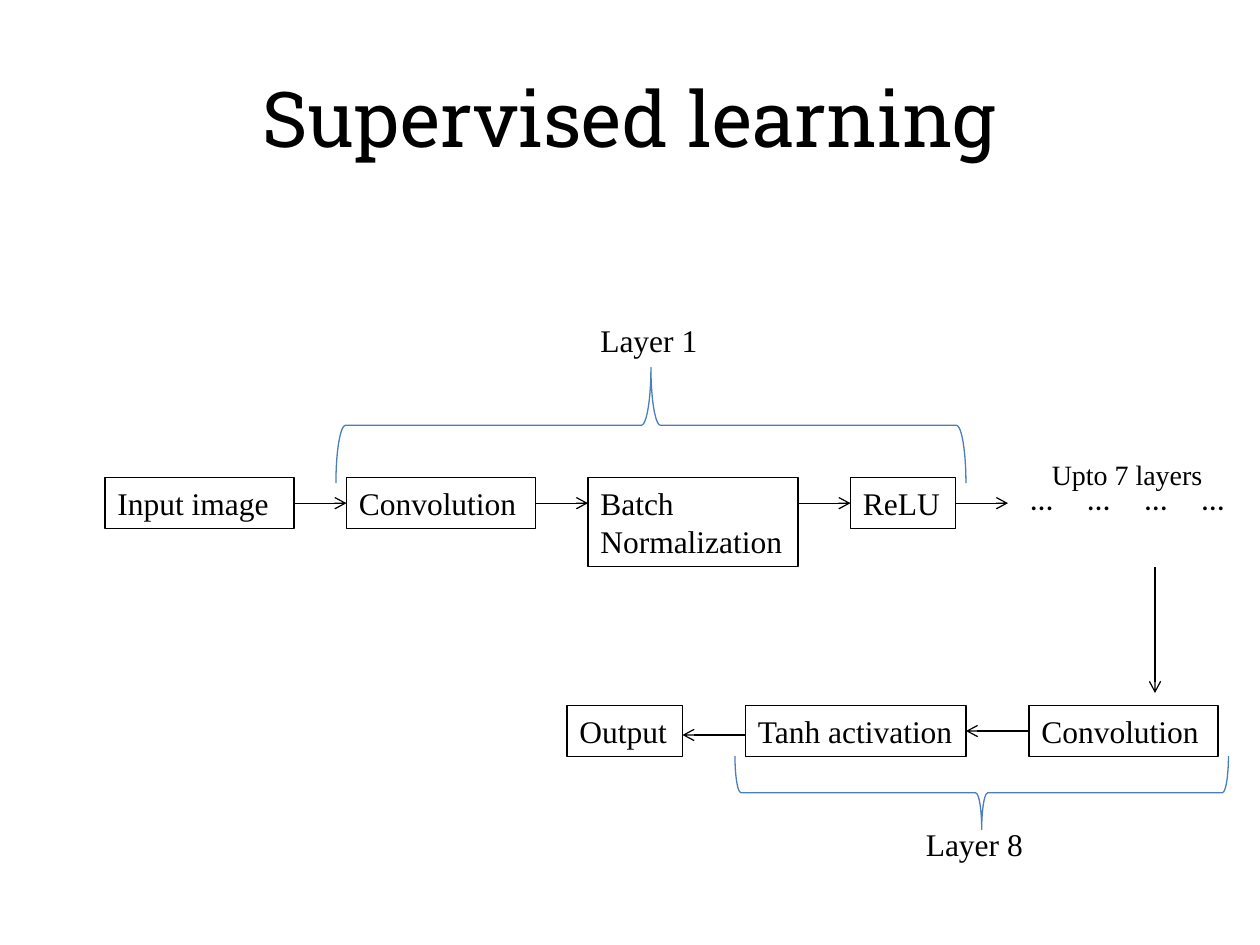
"""Build a slide showing the layers of a supervised learning network."""
from lxml import etree
from pptx import Presentation
from pptx.dml.color import RGBColor
from pptx.enum import shapes, text
from pptx.oxml.ns import qn
from pptx.util import Pt


def color(value):
    return RGBColor.from_string(value)


def write(box, words, size=18, font="Times New Roman"):
    frame = box.text_frame
    frame.word_wrap = True
    frame.auto_size = text.MSO_AUTO_SIZE.SHAPE_TO_FIT_TEXT
    frame.vertical_anchor = text.MSO_ANCHOR.TOP
    para = frame.paragraphs[0]
    para.text = words
    para.alignment = text.PP_ALIGN.LEFT
    para.font.size = Pt(size)
    para.font.name = font
    para.font.color.rgb = color("000000")
    return para


deck = Presentation()
deck.slide_width, deck.slide_height = Pt(720), Pt(540)
page = deck.slides.add_slide(deck.slide_layouts[5])

title = page.shapes.title
title.left, title.top, title.width, title.height = Pt(36), Pt(21.6), Pt(648), Pt(90)
title.text_frame.vertical_anchor = text.MSO_ANCHOR.MIDDLE
para = title.text_frame.paragraphs[0]
para.text = "Supervised learning"
para.alignment = text.PP_ALIGN.CENTER
para.font.size = Pt(44)
para.font.name = "Roboto Slab"
para.font.color.rgb = color("000000")

top_row, bottom_row = 273, 403.2
steps = [
    ("input", "Input image", 60, top_row, 108, 29.08),
    ("first", "Convolution", 198, top_row, 108, 29.08),
    ("batch", "Batch Normalization", 336, top_row, 120, 50.9),
    ("relu", "ReLU", 486, top_row, 60, 29.08),
    ("last", "Convolution", 588, bottom_row, 108, 29.08),
    ("tanh", "Tanh activation", 426, bottom_row, 126, 29.08),
    ("output", "Output", 324, bottom_row, 66, 29.08),
]
boxes = {}
for key, words, left, top, width, height in steps:
    box = page.shapes.add_shape(
        shapes.MSO_SHAPE.RECTANGLE, Pt(left), Pt(top), Pt(width), Pt(height))
    box.shadow.inherit = False
    box.fill.background()
    box.line.color.rgb = color("000000")
    box.line.width = Pt(0.75)
    write(box, words)
    boxes[key] = box

arrows = [
    ("input", "first", 168, 287.54, 198, 287.54),
    ("first", None, 306, 287.54, 336, 287.54),
    (None, "relu", 456, 287.54, 486, 287.54),
    ("relu", None, 546, 287.54, 576, 287.54),
    (None, None, 660, 324, 660, 396),
    ("last", "tanh", 588, 417.74, 552, 417.74),
    (None, None, 426, 420, 390, 420),
]
for start, end, x1, y1, x2, y2 in arrows:
    arrow = page.shapes.add_connector(
        shapes.MSO_CONNECTOR.STRAIGHT, Pt(x1), Pt(y1), Pt(x2), Pt(y2))
    exit_side, entry_side = (3, 1) if x2 >= x1 else (1, 3)
    if start:
        arrow.begin_connect(boxes[start], exit_side)
    if end:
        arrow.end_connect(boxes[end], entry_side)
    arrow.line.color.rgb = color("000000")
    arrow.line.width = Pt(0.75)
    etree.SubElement(arrow.line._get_or_add_ln(), qn("a:tailEnd"), type="arrow")
    etree.SubElement(arrow._element.spPr, qn("a:effectLst"))

braces = [
    (shapes.MSO_SHAPE.RIGHT_BRACE, 339, 63, 66, 360),
    (shapes.MSO_SHAPE.LEFT_BRACE, 540, 312, 42, 282),
]
for kind, left, top, width, height in braces:
    brace = page.shapes.add_shape(kind, Pt(left), Pt(top), Pt(width), Pt(height))
    brace.rotation = 270
    brace.shadow.inherit = False
    brace.fill.background()
    brace.line.color.rgb = color("4B7EBC")
    brace.line.width = Pt(0.75)

labels = [
    ("Layer 1", 336, 180, 72, 29.08, 18, "Times New Roman"),
    ("Upto 7 layers", 594, 258, 102, 26.66, 16, "Times New Roman"),
    ("Layer 8", 522, 468, 72, 29.08, 18, "Times New Roman"),
    ("…\t…\t…\t…", 582, 270, 126, 29.08, 18, "Calibri"),
]
for words, left, top, width, height, size, font in labels:
    label = page.shapes.add_textbox(Pt(left), Pt(top), Pt(width), Pt(height))
    para = write(label, words, size, font)
    if "\t" in words:
        tabs = etree.Element(qn("a:tabLst"))
        for number in range(1, 4):
            etree.SubElement(tabs, qn("a:tab"), pos=str(Pt(32.6 * number)), algn="l")
        para._p.get_or_add_pPr().insert_element_before(tabs, "a:defRPr", "a:extLst")

deck.save("out.pptx")
